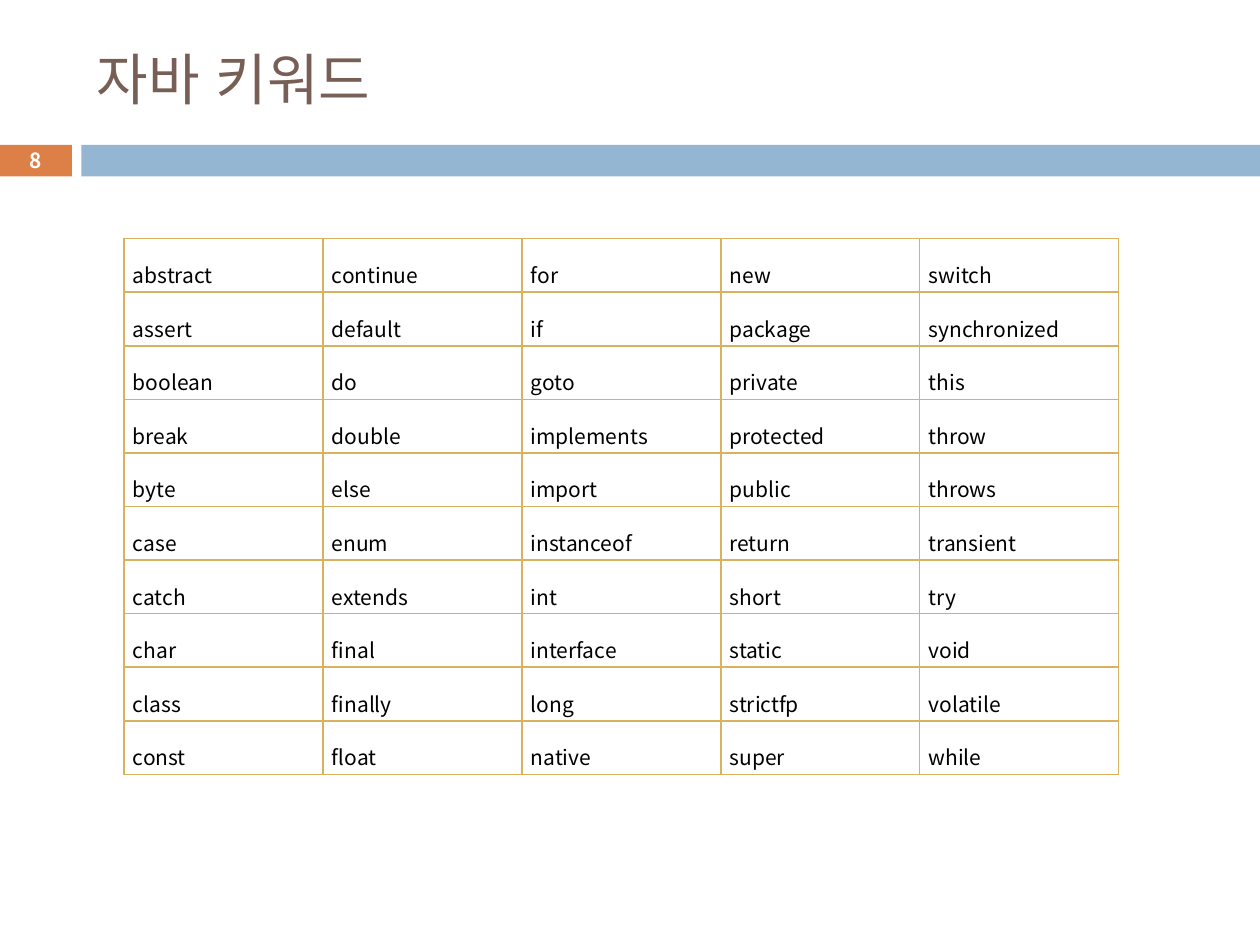
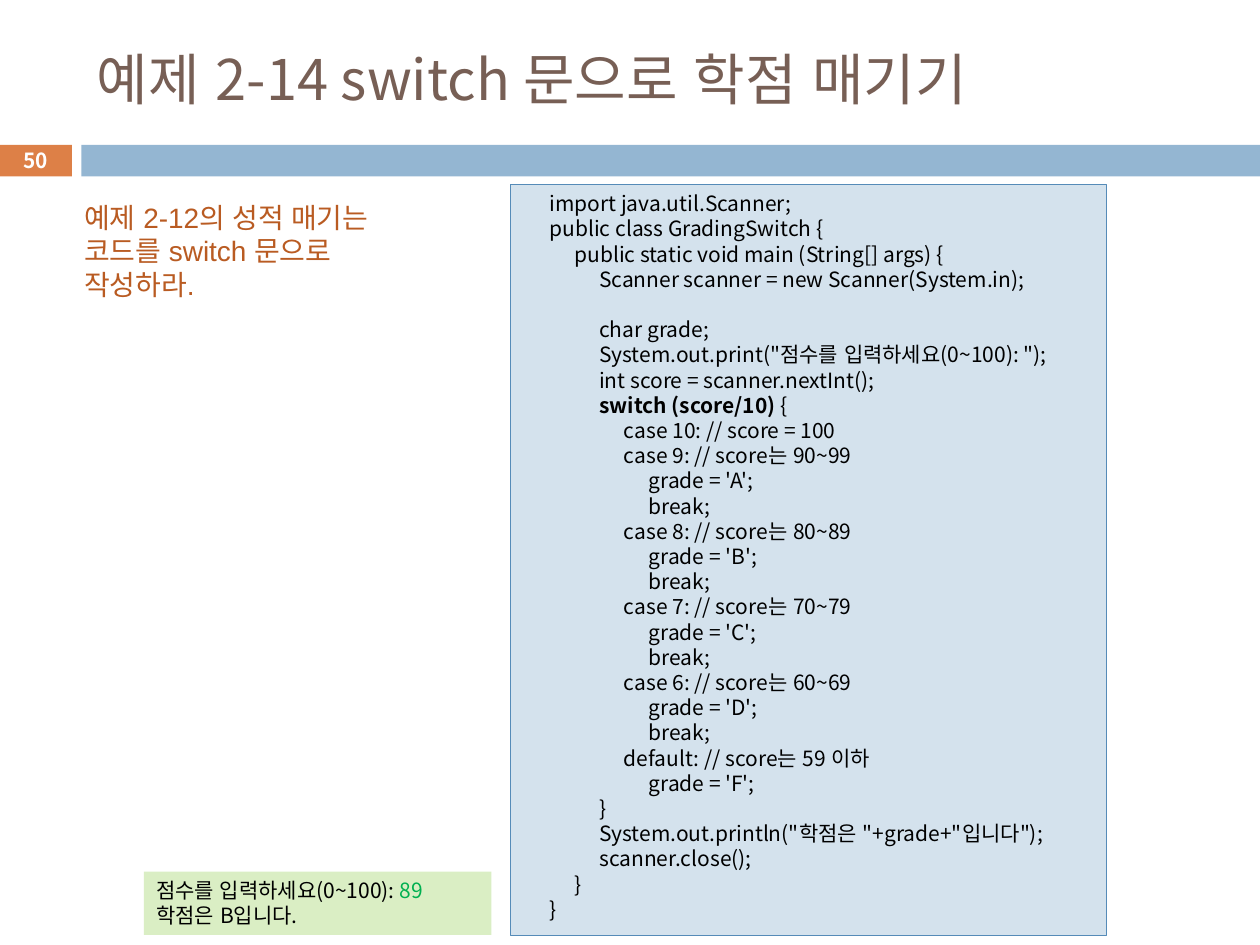
from lxml import etree
from pptx import Presentation
from pptx.dml.color import RGBColor
from pptx.enum.shapes import MSO_SHAPE
from pptx.enum.text import MSO_ANCHOR, PP_ALIGN
from pptx.oxml.ns import qn
from pptx.util import Cm, Pt

RECT = MSO_SHAPE.RECTANGLE
TOP, MIDDLE = MSO_ANCHOR.TOP, MSO_ANCHOR.MIDDLE
LEFT, CENTER, JUSTIFY = PP_ALIGN.LEFT, PP_ALIGN.CENTER, PP_ALIGN.JUSTIFY

ORANGE = RGBColor(0xDD, 0x80, 0x47)
BLUE = RGBColor(0x94, 0xB6, 0xD2)
BROWN = RGBColor(0x77, 0x5F, 0x55)
RUST = RGBColor(0xB9, 0x5B, 0x22)
PALE = RGBColor(0xD4, 0xE2, 0xED)
EDGE = RGBColor(0x55, 0x8B, 0xB8)
LIME = RGBColor(0xDA, 0xEE, 0xC4)
GREEN = RGBColor(0x00, 0xB0, 0x50)
GOLD = RGBColor(0xD8, 0xB2, 0x5C)
WHITE = RGBColor(0xFF, 0xFF, 0xFF)
BLACK = RGBColor(0, 0, 0)
SANS, ARIAL = "Noto Sans CJK KR", "Arial"

TITLES = [("8", "자바 키워드"), ("50", "예제 2-14 switch 문으로 학점 매기기")]

# Keywords in order, read down the columns
WORDS = """
abstract assert boolean break byte case catch char class const
continue default do double else enum extends final finally float
for if goto implements import instanceof int interface long native
new package private protected public return short static strictfp super
switch synchronized this throw throws transient try void volatile while
""".split()
ROWS, COLS = 10, 5

BOLD = "switch (score/10) "
CODE = """import java.util.Scanner;
public class GradingSwitch {
\tpublic static void main (String[] args) {
\t\tScanner scanner = new Scanner(System.in);
\t\t
\t\tchar grade;
\t\tSystem.out.print("점수를 입력하세요(0~100): ");
\t\tint score = scanner.nextInt();
\t\tswitch (score/10) {
\t\t\tcase 10: // score = 100
\t\t\tcase 9: // score는 90~99
\t\t\t\tgrade = 'A';
\t\t\t\tbreak;
\t\t\tcase 8: // score는 80~89
\t\t\t\tgrade = 'B';
\t\t\t\tbreak;
\t\t\tcase 7: // score는 70~79
\t\t\t\tgrade = 'C';
\t\t\t\tbreak;
\t\t\tcase 6: // score는 60~69
\t\t\t\tgrade = 'D';
\t\t\t\tbreak;
\t\t\tdefault: // score는 59 이하
\t\t\t\tgrade = 'F';
\t\t}
\t\tSystem.out.println("학점은 "+grade+"입니다");
\t\tscanner.close();
\t}
}"""


def add_box(page, x, y, w, h, fill=None, anchor=TOP):
    """Add a filled rectangle, or a text box when there is no fill."""
    area = Cm(x), Cm(y), Cm(w), Cm(h)
    if fill is None:
        box = page.shapes.add_textbox(*area)
    else:
        box = page.shapes.add_shape(RECT, *area)
        box.shadow.inherit = False
        box.fill.solid()
        box.fill.fore_color.rgb = fill
        box.line.fill.background()
    box.text_frame.word_wrap = True
    box.text_frame.vertical_anchor = anchor
    return box


def write(frame, lines, size=12, color=BLACK, font=SANS, bold=False,
          align=LEFT, space=None):
    """Write lines of runs; a run is a text, a colour or None, and a weight."""
    for i, line in enumerate(lines):
        par = frame.paragraphs[0] if i == 0 else frame.add_paragraph()
        par.alignment = align
        par.line_spacing = space
        for text, tint, heavy in line:
            run = par.add_run()
            run.text = text
            run.font.size = Pt(size)
            run.font.bold = bold or heavy
            run.font.color.rgb = tint or color
            run.font.name = font
            east = etree.SubElement(run.font._element, qn("a:ea"))
            east.set("typeface", ARIAL)


prs = Presentation()
prs.slide_width, prs.slide_height = Cm(25.4), Cm(19.05)

# Shared bands, titles and page numbers
pages = []
for number, title in TITLES:
    page = prs.slides.add_slide(prs.slide_layouts[6])
    add_box(page, -0.03, 2.92, 1.48, 0.64, ORANGE)
    add_box(page, 1.64, 2.92, 23.76, 0.64, BLUE)
    head = add_box(page, 1.7, 0.64, 22.66, 1.88, anchor=MIDDLE)
    write(head.text_frame, [[(title, None, False)]], 32, BROWN)
    badge = add_box(page, -0.02, 2.89, 1.48, 0.69, anchor=MIDDLE)
    write(badge.text_frame, [[(number, None, False)]], 11.9, WHITE,
          bold=True, align=CENTER)
    pages.append(page)
first, second = pages

# Keyword table
table = first.shapes.add_table(ROWS, COLS, Cm(2.5), Cm(4.81),
                               Cm(20.05), Cm(10.8)).table
table.first_row = table.horz_banding = False
for col in table.columns:
    col.width = Cm(4.01)
for r, row in enumerate(table.rows):
    row.height = Cm(1.08)
    for c, cell in enumerate(row.cells):
        cell.margin_left = cell.margin_right = Cm(0.18)
        cell.margin_top = cell.margin_bottom = Cm(0.05)
        cell.vertical_anchor = MIDDLE
        props = cell._tc.get_or_add_tcPr()
        for side in ("a:lnL", "a:lnR", "a:lnT", "a:lnB"):
            line = etree.SubElement(props, qn(side), w=str(Pt(1)))
            solid = etree.SubElement(line, qn("a:solidFill"))
            etree.SubElement(solid, qn("a:srgbClr"), val=str(GOLD))
        cell.fill.background()
        write(cell.text_frame, [[(WORDS[c * ROWS + r], None, False)]],
              align=JUSTIFY, space=1.6)

# Task
task = add_box(second, 1.45, 3.92, 6.86, 2.31)
lines = ["예제 2-12의 성적 매기는", "코드를 switch 문으로", "작성하라."]
write(task.text_frame, [[(text, None, False)] for text in lines],
      16, RUST, ARIAL, space=Pt(19.1))

# Code listing, with a tab stop every half centimetre
code = add_box(second, 10.29, 3.72, 12.02, 15.14, PALE)
code.line.color.rgb = EDGE
code.line.width = Pt(0.75)
code.text_frame.margin_left = Cm(0.79)
lines = []
for text in CODE.split("\n"):
    start, mark, rest = text.partition(BOLD)
    parts = (start, False), (mark, True), (rest, False)
    lines.append([(part, None, heavy) for part, heavy in parts if part])
write(code.text_frame, lines, space=Pt(14.4))
for par in code.text_frame.paragraphs:
    tabs = etree.SubElement(par._p.get_or_add_pPr(), qn("a:tabLst"))
    for n in range(1, 5):
        etree.SubElement(tabs, qn("a:tab"), pos=str(Cm(0.5 * n)), algn="l")

# Program output
shown = add_box(second, 2.9, 17.57, 7.01, 1.28, LIME)
write(shown.text_frame, [
    [("점수를 입력하세요(0~100): ", None, False), ("89", GREEN, False)],
    [("학점은 B입니다.", None, False)],
], space=Pt(14.4))

prs.save("out.pptx")
